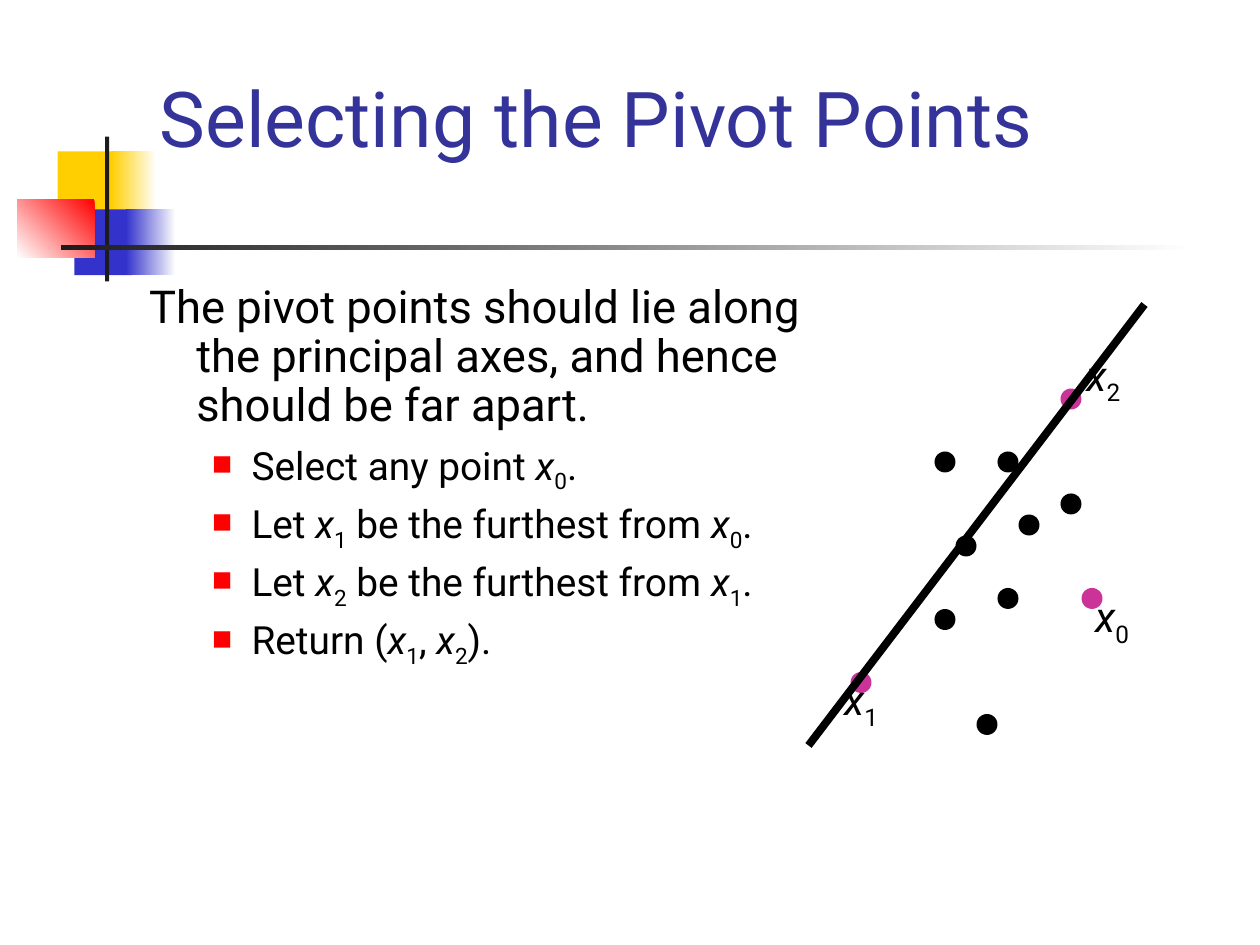
from lxml.etree import SubElement
from pptx import Presentation
from pptx.dml.color import RGBColor
from pptx.enum.shapes import MSO_CONNECTOR, MSO_SHAPE
from pptx.enum.text import MSO_ANCHOR, MSO_AUTO_SIZE, PP_ALIGN
from pptx.oxml.ns import qn
from pptx.util import Pt

BLACK = RGBColor(0, 0, 0)
WHITE = RGBColor(255, 255, 255)
DARK = RGBColor(0x1C, 0x1C, 0x1C)
GOLD = RGBColor(0xFF, 0xCF, 0x01)
BLUE = RGBColor(0x33, 0x33, 0xCC)
NAVY = RGBColor(0x33, 0x33, 0x99)
RED = RGBColor(255, 0, 0)
PINK = RGBColor(0xCC, 0x33, 0x99)


class Deck:
    font = "Roboto"

    def __init__(self, slide):
        self.slide = slide
        self.shapes = slide.shapes

    def shape(self, kind, box, color, end=None, angle=180):
        item = self.shapes.add_shape(kind, *map(Pt, box))
        item.shadow.inherit = False
        item.line.fill.background()
        if end is None:
            item.fill.solid()
            item.fill.fore_color.rgb = color
        else:
            item.fill.gradient()
            item.fill.gradient_angle = angle
            for stop, tone in zip(item.fill.gradient_stops, (color, end)):
                stop.color.rgb = tone

    def rect(self, *args, **more):
        self.shape(MSO_SHAPE.RECTANGLE, *args, **more)

    def dot(self, left, top, color):
        self.shape(MSO_SHAPE.OVAL, (left, top, 12, 12), color)

    def line(self, start, end, width):
        item = self.shapes.add_connector(MSO_CONNECTOR.STRAIGHT, *map(Pt, start + end))
        item.line.color.rgb = BLACK
        item.line.width = Pt(width)
        SubElement(item._element.spPr, qn("a:effectLst"))

    def run(self, para, text, size, color):
        run = para.add_run()
        run.text = text
        run.font.name = self.font
        run.font.size = Pt(size)
        run.font.color.rgb = color
        return run

    def runs(self, para, text, size, color=BLACK):
        for index, part in enumerate(text.split("|")):
            if index % 2:
                self.run(para, part[0], size, color).font.italic = True
                low = self.run(para, part[1:], size, color)
                low._r.get_or_add_rPr().set("baseline", "-25000")
            elif part:
                self.run(para, part, size, color)

    def place(self, item, box, anchor):
        item.left, item.top, item.width, item.height = map(Pt, box)
        frame = item.text_frame
        frame.word_wrap = True
        frame.auto_size = MSO_AUTO_SIZE.NONE
        frame.vertical_anchor = anchor
        return frame

    def title(self, text, box):
        frame = self.place(self.shapes.title, box, MSO_ANCHOR.BOTTOM)
        para = frame.paragraphs[0]
        para.alignment = PP_ALIGN.LEFT
        self.runs(para, text, 44, NAVY)

    def body(self, lead, items, box):
        frame = self.place(self.slide.placeholders[1], box, MSO_ANCHOR.TOP)
        para = frame.paragraphs[0]
        self.layout(para, 7, 27, 27)
        SubElement(para._p.pPr, qn("a:buNone"))
        self.runs(para, lead, 25.9)
        for text in items:
            para = frame.add_paragraph()
            para.level = 1
            self.layout(para, 6, 58.5, 22.5)
            self.bullet(para)
            self.runs(para, text, 22.2)

    def layout(self, para, before, left, hang):
        para.alignment = PP_ALIGN.LEFT
        para.line_spacing = 0.9
        para.space_before = Pt(before)
        para.space_after = Pt(0)
        props = para._p.get_or_add_pPr()
        props.set("marL", str(Pt(left)))
        props.set("indent", str(-Pt(hang)))

    def bullet(self, para):
        props = para._p.pPr
        tint = SubElement(props, qn("a:buClr"))
        SubElement(tint, qn("a:srgbClr"), val=str(RED))
        SubElement(props, qn("a:buSzPct"), val="55000")
        SubElement(props, qn("a:buFont"), typeface=self.font)
        SubElement(props, qn("a:buChar"), char="■")

    def label(self, text, left, top):
        item = self.shapes.add_textbox(Pt(left), Pt(top), Pt(34), Pt(40))
        frame = item.text_frame
        frame.word_wrap = False
        frame.auto_size = MSO_AUTO_SIZE.SHAPE_TO_FIT_TEXT
        frame.vertical_anchor = MSO_ANCHOR.MIDDLE
        para = frame.paragraphs[0]
        para.alignment = PP_ALIGN.CENTER
        para.space_before = Pt(6)
        self.runs(para, text, 24)


prs = Presentation()
prs.slide_width, prs.slide_height = Pt(720), Pt(540)
deck = Deck(prs.slides.add_slide(prs.slide_layouts[1]))

deck.rect((33, 86.5, 34.5, 37.5), GOLD)
deck.rect((63.5, 86.5, 26, 37.5), WHITE, GOLD)
deck.rect((42.5, 119.7, 33, 37.5), BLUE)
deck.rect((72, 119.7, 28.5, 37.5), WHITE, BLUE)
deck.rect((10, 113.8, 44, 33.5), RED, WHITE, angle=225)
deck.rect((60, 78, 2.4, 82.8), DARK)
deck.rect((34.8, 140.2, 648, 2.4), WHITE, DARK)

deck.title("Selecting the Pivot Points", (84, 36, 613.5, 60.5))
deck.body(
    "The pivot points should lie along the principal axes, and hence should be far apart.",
    (
        "Select any point |x0|.",
        "Let |x1| be the furthest from |x0|.",
        "Let |x2| be the furthest from |x1|.",
        "Return (|x1|, |x2|).",
    ),
    (78, 159, 392.5, 324),
)

POINTS = (
    (534, 258), (570, 258), (546, 306), (606, 282),
    (558, 408), (534, 348), (570, 336), (582, 294),
)
for left, top in POINTS:
    deck.dot(left, top, BLACK)

PIVOTS = (
    ("|x0|", (618, 336), (618.5, 334)),
    ("|x2|", (606, 222), (613.5, 196)),
    ("|x1|", (486, 384), (475, 381.5)),
)
for name, spot, tag in PIVOTS:
    deck.dot(*spot, PINK)
    deck.label(name, *tag)
deck.line((462, 426), (654, 174), 4.5)

prs.save("out.pptx")
